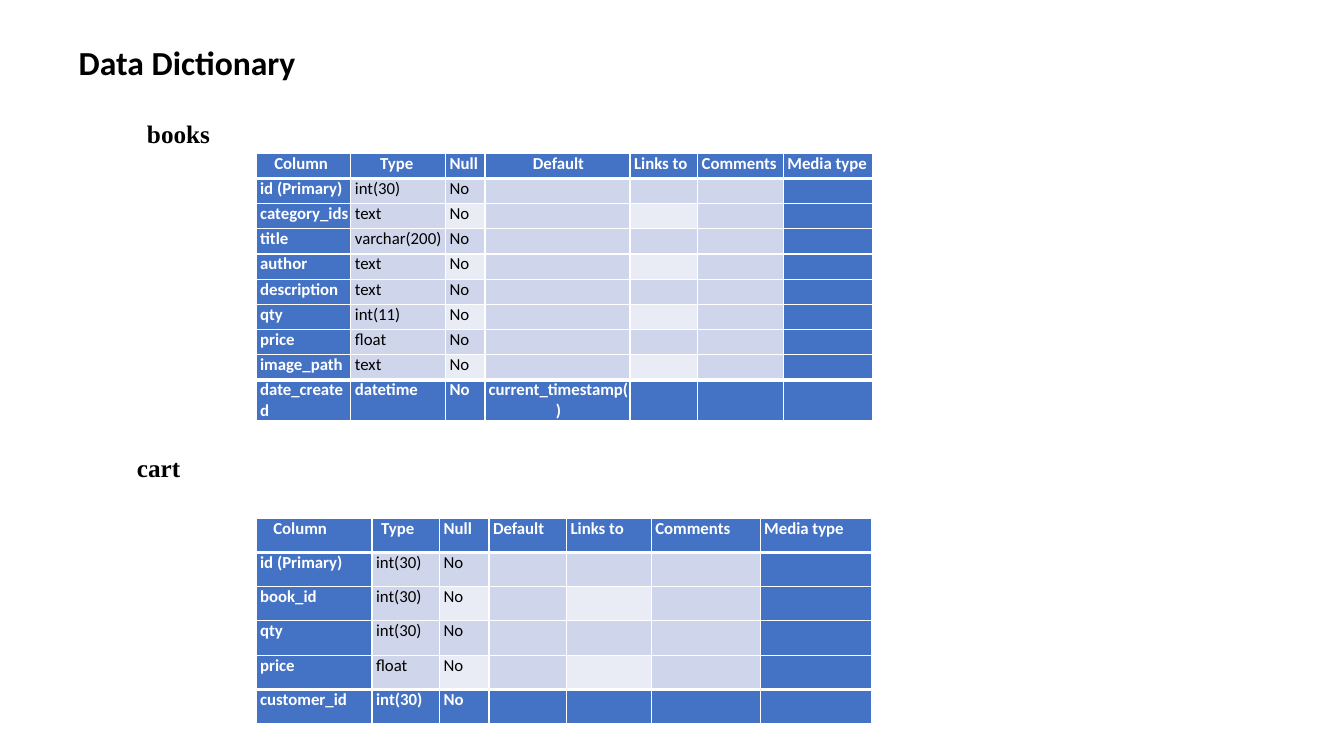
from lxml import etree
from pptx import Presentation
from pptx.dml.color import RGBColor
from pptx.enum import text
from pptx.oxml import ns
from pptx.util import Inches, Pt

COLORS = {"ink": "000000", "paper": "FFFFFF", "blue": "4472C4",
          "band": "CFD5EA", "pale": "E9EBF5"}
HEADERS = ["Column", "Type", "Null", "Default", "Links to", "Comments", "Media type"]
TABLE_LEFT = 2.54
CELL_INDENT = 0.04

BOOKS = {
    "top": 1.52, "row_height": 0.25,
    "widths": [0.94, 0.94, 0.39, 1.44, 0.67, 0.85, 0.89],
    "header_indents": {0: 0.18, 1: 0.29},
    "centred": {3},
    "rows": [
        ["id (Primary)", "int(30)", "No"],
        ["category_ids", "text", "No"],
        ["title", "varchar(200)", "No"],
        ["author", "text", "No"],
        ["description", "text", "No"],
        ["qty", "int(11)", "No"],
        ["price", "float", "No"],
        ["image_path", "text", "No"],
        ["date_created", "datetime", "No", "current_timestamp()"],
    ],
}
CART = {
    "top": 5.14, "row_height": 0.34,
    "widths": [1.15, 0.67, 0.49, 0.77, 0.84, 1.08, 1.11],
    "header_indents": {0: 0.17, 1: 0.09},
    "centred": set(),
    "rows": [
        ["id (Primary)", "int(30)", "No"],
        ["book_id", "int(30)", "No"],
        ["qty", "int(30)", "No"],
        ["price", "float", "No"],
        ["customer_id", "int(30)", "No"],
    ],
}


def rgb(name):
    return RGBColor.from_string(COLORS[name])


def set_all(target, values):
    for name, value in values.items():
        setattr(target, name, value)


def write(para, words, size, font="Calibri", color="ink", bold=True, indent=0, **layout):
    set_all(para, layout)
    if indent:
        para._p.get_or_add_pPr().set("marL", str(Inches(indent)))
    span = para.add_run()
    span.text = words
    set_all(span.font, {"size": Pt(size), "name": font, "bold": bold})
    span.font.color.rgb = rgb(color)


def add_title(page, words):
    title = page.shapes.title
    set_all(title, {"left": Inches(0.68), "top": Inches(0.41),
                    "width": Inches(10), "height": Inches(1.81)})
    set_all(title.text_frame, {"vertical_anchor": text.MSO_ANCHOR.TOP,
                               "auto_size": text.MSO_AUTO_SIZE.NONE})
    write(title.text_frame.paragraphs[0], words, 24, line_spacing=0.9,
          space_before=Pt(10), alignment=text.PP_ALIGN.LEFT)


def add_heading(page, words, left, top, width, space_before=0):
    box = page.shapes.add_textbox(Inches(left), Inches(top), Inches(width), Inches(0.4))
    set_all(box.text_frame, {"word_wrap": True,
                             "auto_size": text.MSO_AUTO_SIZE.SHAPE_TO_FIT_TEXT})
    write(box.text_frame.paragraphs[0], words, 18, "Times New Roman",
          indent=0.1, space_before=Pt(space_before))


def add_borders(cell, top, bottom):
    properties = cell._tc.get_or_add_tcPr()
    for side, width in {"L": 1, "R": 1, "T": top, "B": bottom}.items():
        line = etree.SubElement(properties, ns.qn(f"a:ln{side}"), w=str(Pt(width)))
        fill = etree.SubElement(line, ns.qn("a:solidFill"))
        etree.SubElement(fill, ns.qn("a:srgbClr"), val=COLORS["paper"])


def cell_color(row, column, last_row, last_column):
    if row in (0, last_row) or column in (0, last_column):
        return "blue"
    return "pale" if row % 2 == 0 and column % 2 == 0 else "band"


def fill_cell(cell, words, color, indent, centred):
    set_all(cell, {"margin_left": 0, "margin_right": 0,
                   "margin_top": 0, "margin_bottom": 0})
    cell.fill.solid()
    cell.fill.fore_color.rgb = rgb(color)
    para = cell.text_frame.paragraphs[0]
    if not words:
        # Keeps an empty cell from stretching its row.
        etree.SubElement(para._p, ns.qn("a:endParaRPr"), sz="1200")
        return
    on_blue = color == "blue"
    write(para, words, 12, color="paper" if on_blue else "ink", bold=on_blue,
          indent=indent, space_before=Pt(2.3),
          alignment=text.PP_ALIGN.CENTER if centred else text.PP_ALIGN.LEFT)


def add_dictionary(page, data):
    rows = [HEADERS] + data["rows"]
    last_row, last_column = len(rows) - 1, len(HEADERS) - 1
    height = data["row_height"]
    table = page.shapes.add_table(
        len(rows), len(HEADERS), Inches(TABLE_LEFT), Inches(data["top"]),
        Inches(sum(data["widths"])), Inches(height * len(rows))).table
    table.horz_banding = False
    for column, width in zip(table.columns, data["widths"]):
        column.width = Inches(width)
    for r, words in enumerate(rows):
        table.rows[r].height = Inches(height)
        for c in range(len(HEADERS)):
            cell = table.cell(r, c)
            centred = c in data["centred"]
            indent = 0.02 if centred else CELL_INDENT
            if r == 0:
                indent = data["header_indents"].get(c, indent)
            add_borders(cell, top=3 if r in (1, last_row) else 1,
                        bottom=3 if r in (0, last_row - 1) else 1)
            fill_cell(cell, words[c] if c < len(words) else "",
                      cell_color(r, c, last_row, last_column), indent, centred)


def main():
    deck = Presentation()
    set_all(deck, {"slide_width": Inches(13.33), "slide_height": Inches(7.5)})
    page = deck.slides.add_slide(deck.slide_layouts[5])
    add_title(page, "Data Dictionary")
    add_heading(page, "books", 1.26, 1.12, 6.66, space_before=16.2)
    add_dictionary(page, BOOKS)
    add_heading(page, "cart", 1.16, 4.44, 7.93)
    add_dictionary(page, CART)
    deck.save("out.pptx")


if __name__ == "__main__":
    main()
